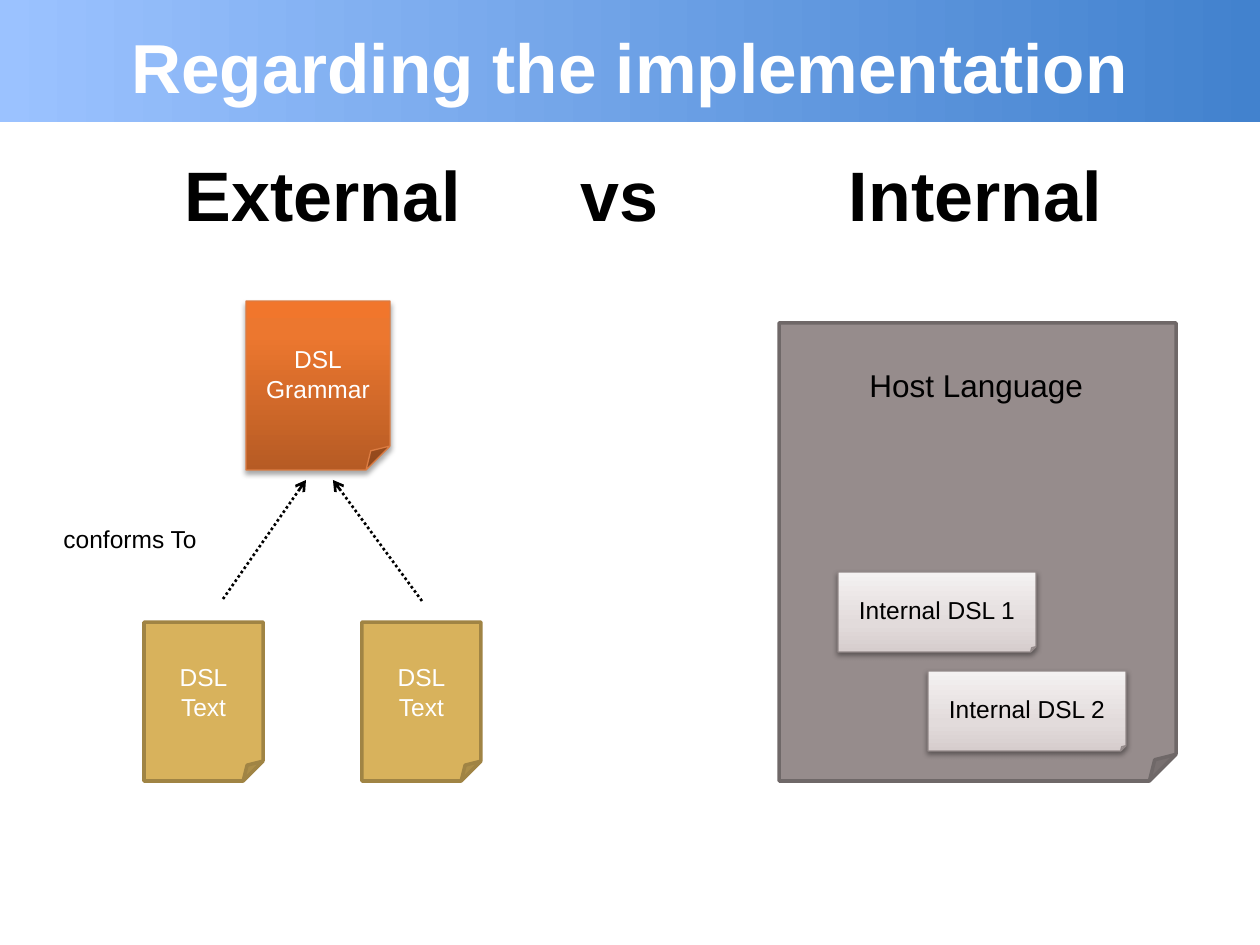
import pptx
import pptx.util
import pptx.dml.color
import pptx.enum.dml
import pptx.enum.shapes
import pptx.enum.text
import pptx.oxml.ns
import lxml.etree

RGB = pptx.dml.color.RGBColor
SHAPE = pptx.enum.shapes.MSO_SHAPE
ALIGN = pptx.enum.text.PP_ALIGN
ANCHOR = pptx.enum.text.MSO_ANCHOR
qn = pptx.oxml.ns.qn

PX = 914400 / 126
FONT = "Arial"
WHITE = RGB(0xFF, 0xFF, 0xFF)
BLACK = RGB(0x00, 0x00, 0x00)
GOLD = RGB(0xD8, 0xB2, 0x5C)
GOLD_EDGE = RGB(0xA0, 0x84, 0x44)
ORANGE_EDGE = RGB(0xDC, 0x7C, 0x42)
HOST_FILL = RGB(0x96, 0x8C, 0x8C)
HOST_EDGE = RGB(0x6F, 0x68, 0x68)
DSL_EDGE = RGB(0x93, 0x89, 0x89)
BANNER = [(0, RGB(0x9B, 0xC2, 0xFF)), (100, RGB(0x42, 0x82, 0xCE))]
ORANGE = [(0, RGB(0xB6, 0x5B, 0x24)), (80, RGB(0xEC, 0x77, 0x2F)),
          (100, RGB(0xF1, 0x76, 0x2C))]
PALE = [(0, RGB(0xD6, 0xCD, 0xCD)), (35, RGB(0xE2, 0xDB, 0xDB)),
        (100, RGB(0xF4, 0xF1, 0xF1))]


def px(*lengths):
    return [pptx.util.Emu(round(length * PX)) for length in lengths]


def add_xml(parent, tag, **attributes):
    values = {name: str(value) for name, value in attributes.items()}
    return lxml.etree.SubElement(parent, qn(tag), values)


def paint(shape, fill, angle):
    """Fill with one colour, or with a list of (percent, colour) stops."""
    if not isinstance(fill, list):
        shape.fill.solid()
        shape.fill.fore_color.rgb = fill
        return
    shape.fill.gradient()
    gradient = shape.element.spPr.find(qn("a:gradFill"))
    stops = gradient.find(qn("a:gsLst"))
    for stop in list(stops):
        stops.remove(stop)
    for percent, colour in fill:
        stop = add_xml(stops, "a:gs", pos=percent * 1000)
        add_xml(stop, "a:srgbClr", val=colour)
    gradient.find(qn("a:lin")).set("ang", str(angle * 60000))


def add_shadow(shape, opacity, distance):
    effects = shape.element.spPr.find(qn("a:effectLst"))
    shadow = add_xml(effects, "a:outerShdw", blurRad=pptx.util.Pt(3.1),
                     dist=pptx.util.Pt(distance), dir=90 * 60000, rotWithShape=0)
    colour = add_xml(shadow, "a:srgbClr", val=BLACK)
    add_xml(colour, "a:alpha", val=opacity * 1000)


def write(frame, text, size, colour, align=ALIGN.LEFT, bold=False):
    frame.text = text
    for paragraph in frame.paragraphs:
        paragraph.alignment = align
        for run in paragraph.runs:
            run.font.name = FONT
            run.font.size = pptx.util.Pt(size)
            run.font.bold = bold
            run.font.color.rgb = colour


def add_block(slide, kind, box, fill, angle=270, edge=None, edge_width=2):
    block = slide.shapes.add_shape(kind, *px(*box))
    block.shadow.inherit = False
    paint(block, fill, angle)
    if edge is None:
        block.line.fill.background()
    else:
        block.line.color.rgb = edge
        block.line.width = pptx.util.Pt(edge_width)
    return block


def add_note(slide, box, fill, edge, text="", colour=WHITE, edge_width=2, fold=None):
    note = add_block(slide, SHAPE.FOLDED_CORNER, box, fill, edge=edge,
                     edge_width=edge_width)
    if fold is not None:
        # The library lists no adjustment for this preset
        guides = note.element.spPr.find(qn("a:prstGeom")).find(qn("a:avLst"))
        add_xml(guides, "a:gd", name="adj", fmla=f"val {round(fold * 100000)}")
    if text:
        note.text_frame.word_wrap = True
        note.text_frame.vertical_anchor = ANCHOR.MIDDLE
        write(note.text_frame, text, 14, colour, ALIGN.CENTER)
    return note


def add_label(slide, box, text, size, colour=BLACK, wrap=False, **style):
    label = slide.shapes.add_textbox(*px(*box))
    label.text_frame.word_wrap = wrap
    write(label.text_frame, text, size, colour, **style)
    return label


def add_arrow(slide, start, end):
    arrow = slide.shapes.add_connector(
        pptx.enum.shapes.MSO_CONNECTOR.STRAIGHT, *px(*start, *end))
    arrow.line.color.rgb = BLACK
    arrow.line.width = pptx.util.Pt(1.5)
    arrow.line.dash_style = pptx.enum.dml.MSO_LINE.ROUND_DOT
    properties = arrow.element.spPr
    add_xml(properties.find(qn("a:ln")), "a:tailEnd", type="arrow")
    add_xml(properties, "a:effectLst")


def add_heading(slide):
    """Three words in one line, the later two placed by tab stops."""
    heading = add_label(slide, (34, 145, 1190, 97), "External\tvs\tInternal", 40,
                        wrap=True, bold=True)
    heading.text_frame.margin_left = px(151)[0]
    properties = heading.text_frame.paragraphs[0]._p.get_or_add_pPr()
    tabs = add_xml(properties, "a:tabLst")
    for position in px(396, 664):
        add_xml(tabs, "a:tab", pos=position, algn="l")


def main():
    presentation = pptx.Presentation()
    presentation.slide_width, presentation.slide_height = px(1260, 945)
    slide = presentation.slides.add_slide(presentation.slide_layouts[6])

    # Title banner
    add_block(slide, SHAPE.RECTANGLE, (0, 0, 1260, 122), BANNER, angle=0)
    title = add_label(slide, (15, 16, 1230, 100), "Regarding the implementation",
                      39.6, WHITE, wrap=True, align=ALIGN.CENTER, bold=True)
    title.text_frame.vertical_anchor = ANCHOR.MIDDLE
    add_heading(slide)

    # External: texts that conform to a grammar
    grammar = add_note(slide, (246, 301, 144, 169), ORANGE, ORANGE_EDGE,
                       "DSL\nGrammar", edge_width=0.75)
    add_shadow(grammar, 35, 1.8)
    for left in (144, 362):
        add_note(slide, (left, 622, 119, 159), GOLD, GOLD_EDGE, "DSL\nText")
    add_arrow(slide, (223, 599), (306, 480))
    add_arrow(slide, (422, 601), (333, 480))
    add_label(slide, (51, 518, 159, 43), "conforms To", 14)

    # Internal: DSLs inside a host language
    add_note(slide, (779, 323, 397, 458), HOST_FILL, HOST_EDGE, fold=0.067)
    add_label(slide, (857, 360, 241, 50), "Host Language", 18)
    for number, (left, top) in enumerate([(838, 572), (928, 671)], start=1):
        internal = add_note(slide, (left, top, 198, 80), PALE, DSL_EDGE,
                            f"Internal DSL {number}", BLACK,
                            edge_width=0.75, fold=0.067)
        add_shadow(internal, 38, 1.6)

    presentation.save("out.pptx")


if __name__ == "__main__":
    main()
